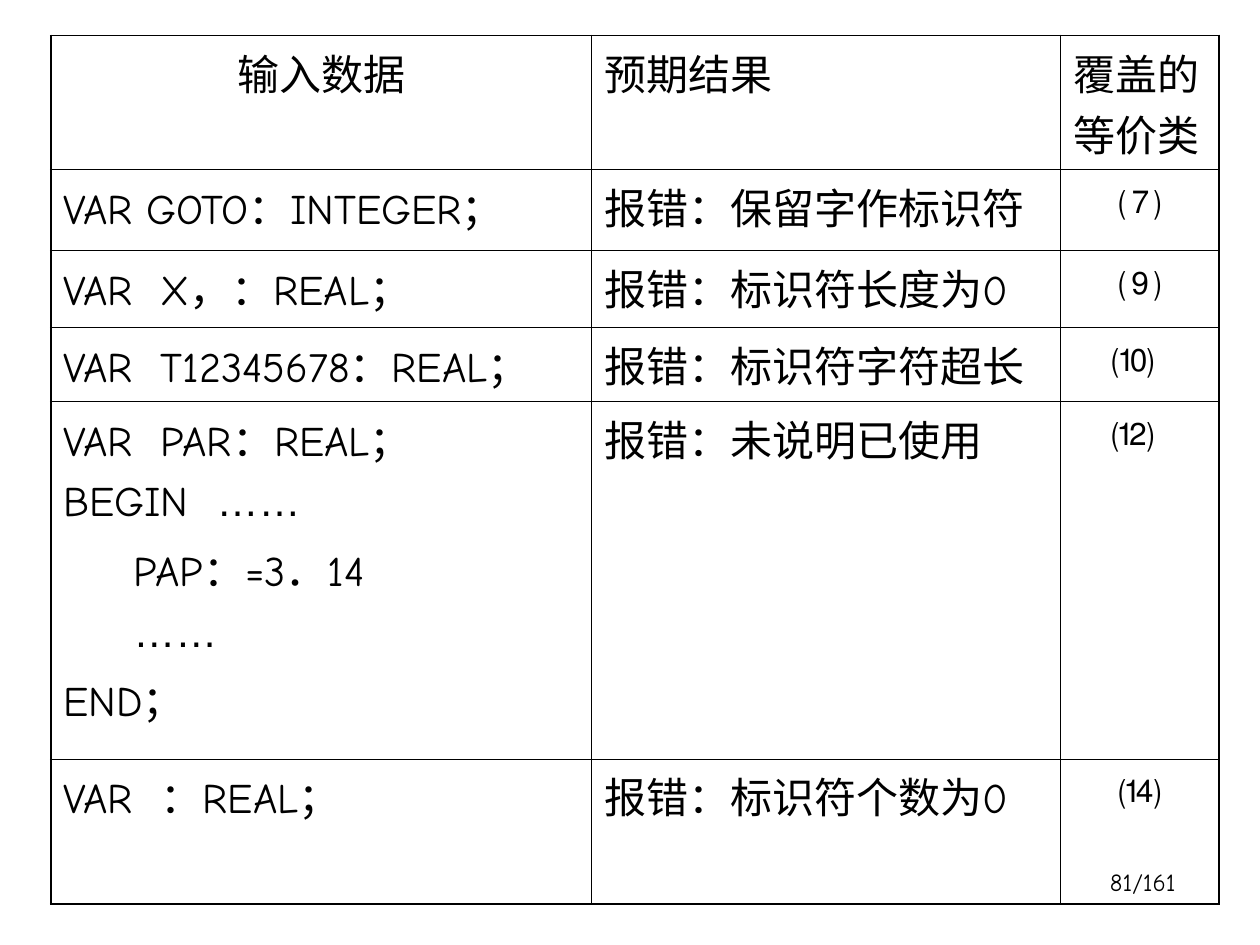
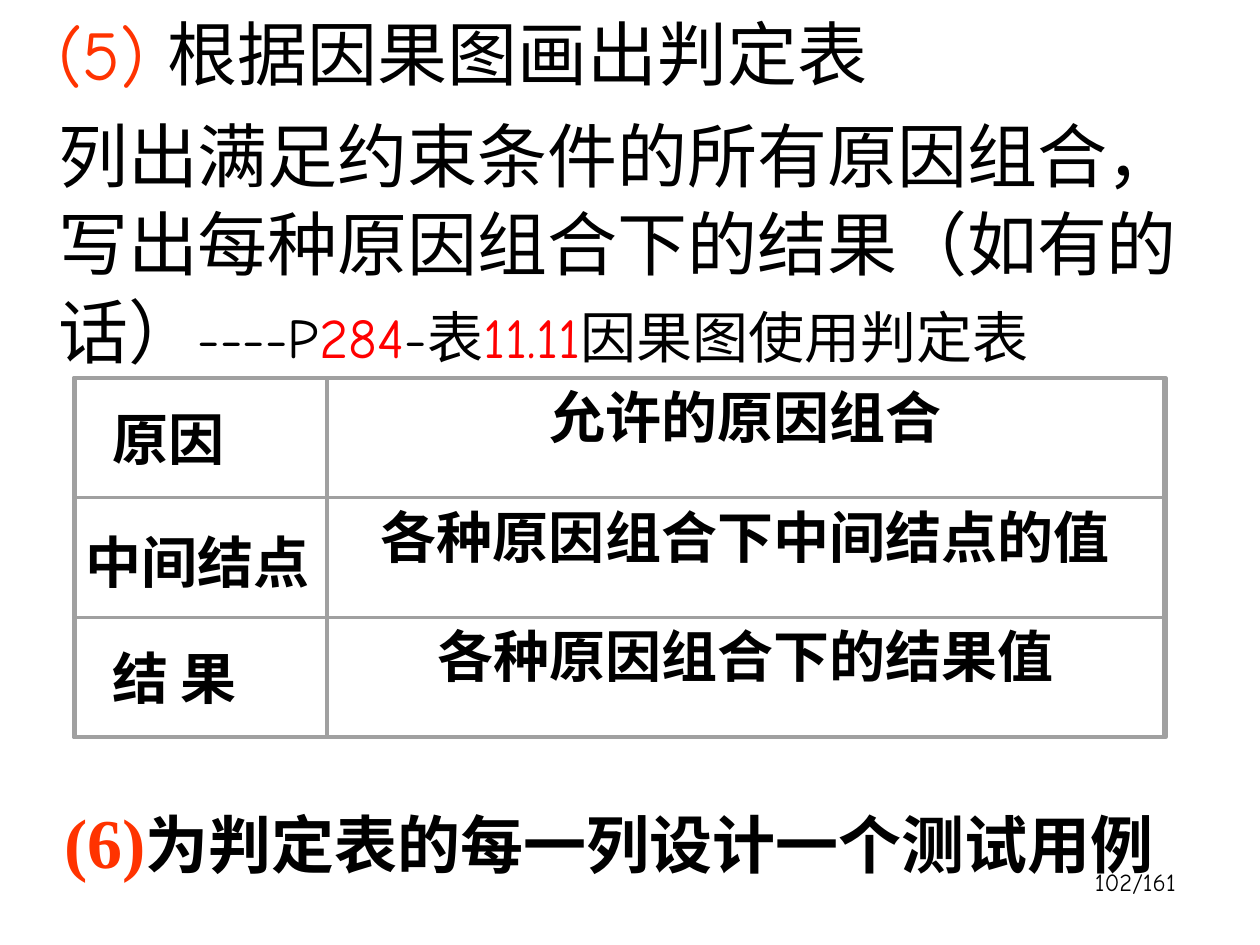
from lxml import etree
from pptx import Presentation
from pptx.dml.color import RGBColor
from pptx.enum.shapes import MSO_SHAPE
from pptx.enum.text import MSO_ANCHOR, MSO_AUTO_SIZE, PP_ALIGN
from pptx.oxml.ns import qn
from pptx.util import Pt

COLORS = {"text": "000000", "paper": "FFFFFF", "number": "FF3300",
          "page_ref": "FF0000", "grid": "A0A0A0"}
LATIN, CJK, SERIF = "Comic Neue", "Noto Sans CJK SC", "Times New Roman"
LEFT, CENTER, RIGHT = PP_ALIGN.LEFT, PP_ALIGN.CENTER, PP_ALIGN.RIGHT
JUSTIFY = PP_ALIGN.JUSTIFY
PAGE_COUNT = 161


def write(tf, paragraphs, size=24, font=LATIN, color="text", bold=False,
          align=LEFT, gap=0, spacing=None, indent=0):
    """Fill tf; a paragraph is a string or a list of (text, format) runs."""
    for i, runs in enumerate(paragraphs):
        p = tf.paragraphs[0] if i == 0 else tf.add_paragraph()
        p.alignment = align
        p.space_before = Pt(gap if i else 0)
        if spacing:
            p.line_spacing = spacing
        if indent:
            pPr = p._p.get_or_add_pPr()
            pPr.set("marL", str(Pt(indent)))
            pPr.set("indent", "0")
            etree.SubElement(pPr, qn("a:buNone"))
        for text, own in [(runs, {})] if isinstance(runs, str) else runs:
            r = p.add_run()
            r.text = text
            r.font.size = Pt(own.get("size", size))
            r.font.name = own.get("font", font)
            r.font.bold = bold
            r.font.color.rgb = RGBColor.from_string(COLORS[own.get("color", color)])
            ea = etree.SubElement(r._r.get_or_add_rPr(), qn("a:ea"))
            ea.set("typeface", CJK)


def add_text(slide, x, y, w, h, paragraphs, wrap=True, anchor=MSO_ANCHOR.TOP,
             top=3.6, **fmt):
    tf = slide.shapes.add_textbox(Pt(x), Pt(y), Pt(w), Pt(h)).text_frame
    tf.word_wrap = wrap
    tf.vertical_anchor = anchor
    tf.margin_top = Pt(top)
    write(tf, paragraphs, **fmt)


def add_page_number(slide, number):
    add_text(slide, 529, 492, 150, 36, [f"{number}/{PAGE_COUNT}"],
             size=14, align=RIGHT)


def add_slide(prs, layout, number):
    slide = prs.slides.add_slide(prs.slide_layouts[layout])
    slide.background.fill.solid()
    slide.background.fill.fore_color.rgb = RGBColor.from_string(COLORS["paper"])
    add_page_number(slide, number)
    return slide


# Test cases for the invalid equivalence classes
DOTS = ("……", {"font": "Arial"})
TEST_CASES = [
    (["输入数据"], "预期结果", "覆盖的等价类"),
    (["VAR GOTO：INTEGER；"], "报错：保留字作标识符", "⑺"),
    (["VAR  X，：REAL；"], "报错：标识符长度为0", "⑼"),
    (["VAR  T12345678：REAL；"], "报错：标识符字符超长", "⑽ "),
    (["VAR  PAR：REAL；", [("BEGIN  ", {}), DOTS], "     PAP：=3．14",
      [("     ", {}), DOTS], "END；"], "报错：未说明已使用", "⑿ "),
    (["VAR  ：REAL；"], "报错：标识符个数为0", "⒁"),
]
CASE_WIDTHS = [309, 268, 90.8]
CASE_HEIGHTS = [76.8, 46, 44, 42.2, 204.5, 83]


def set_border(cell, side, width, color):
    tcPr = cell._tc.get_or_add_tcPr()
    ln = etree.SubElement(tcPr, qn("a:ln" + side), w=str(Pt(width)))
    fill = etree.SubElement(ln, qn("a:solidFill"))
    etree.SubElement(fill, qn("a:srgbClr"), val=COLORS[color])


def add_test_cases(slide, x, y):
    last_row, last_col = len(CASE_HEIGHTS) - 1, len(CASE_WIDTHS) - 1
    table = slide.shapes.add_table(
        last_row + 1, last_col + 1, Pt(x), Pt(y),
        Pt(sum(CASE_WIDTHS)), Pt(sum(CASE_HEIGHTS))).table
    table.first_row = table.horz_banding = False
    for column, width in zip(table.columns, CASE_WIDTHS):
        column.width = Pt(width)
    for row, height in zip(table.rows, CASE_HEIGHTS):
        row.height = Pt(height)
    for i, (source, result, covered) in enumerate(TEST_CASES):
        aligns = (JUSTIFY, JUSTIFY, CENTER) if i else (CENTER, LEFT, LEFT)
        for j, paragraphs in enumerate((source, [result], [covered])):
            cell = table.cell(i, j)
            outer = {"L": j == 0, "R": j == last_col,
                     "T": i == 0, "B": i == last_row}
            for side, is_outer in outer.items():
                set_border(cell, side, 1.08 if is_outer else 0.45, "text")
            cell.fill.background()
            write(cell.text_frame, paragraphs, align=aligns[j], gap=6)


# Decision table frame built from the cause-effect graph:
# label, its left offset, top offset and width, then the meaning
DECISION_ROWS = [("原因", 15.1, 0, 116, "允许的原因组合"),
                 ("中间结点", 0, 3.6, 162, "各种原因组合下中间结点的值"),
                 ("结\u00a0果", 15.1, 0, 116, "各种原因组合下的结果值")]


def add_frame(slide, x, y, w, h):
    sp = slide.shapes.add_shape(MSO_SHAPE.RECTANGLE, Pt(x), Pt(y), Pt(w), Pt(h))
    sp.shadow.inherit = False
    sp.fill.background()
    sp.line.color.rgb = RGBColor.from_string(COLORS["grid"])
    sp.line.width = Pt(2)


def add_decision_grid(slide, x, y):
    row_h, label_w, meaning_w, inset = 68.4, 143.7, 478.1, 1.2
    strong = {"size": 32, "font": CJK, "bold": True}
    for i, (label, dx, dy, w, meaning) in enumerate(DECISION_ROWS):
        top = y + i * row_h
        add_text(slide, x + dx, top + dy, w, row_h - dy, [label],
                 anchor=MSO_ANCHOR.MIDDLE, **strong)
        add_frame(slide, x + inset, top, label_w, row_h)
        meaning_x = x + inset + label_w
        add_text(slide, meaning_x + 13.5, top, meaning_w - 27, row_h, [meaning],
                 top=2.5, align=CENTER, **strong)
        add_frame(slide, meaning_x, top, meaning_w, row_h)
    add_frame(slide, x, y, label_w + meaning_w + 2 * inset,
              row_h * len(DECISION_ROWS))


def fill_step_text(body, x, y, w, h):
    body.left, body.top, body.width, body.height = Pt(x), Pt(y), Pt(w), Pt(h)
    tf = body.text_frame
    tf.auto_size = MSO_AUTO_SIZE.NONE
    tf.vertical_anchor = MSO_ANCHOR.TOP
    small, red = {"size": 32}, {"size": 32, "color": "page_ref"}
    write(tf, [
        [("(5) ", {"color": "number"}), ("根据因果图画出判定表", {})],
        [("列出满足约束条件的所有原因组合，写出每种原因组合下的结果（如有的话）", {}),
         ("----P", small), ("284", red), ("-表", small), ("11.11", red),
         ("因果图使用判定表", small)],
    ], size=40, gap=8, spacing=1.05, indent=8)


def build_test_case_slide(prs):
    slide = add_slide(prs, 6, 81)
    add_test_cases(slide, 29, 20.2)


def build_decision_slide(prs):
    slide = add_slide(prs, 1, 102)
    title = slide.shapes.title
    title._element.getparent().remove(title._element)
    fill_step_text(slide.placeholders[1], 18, 0, 678, 522)
    add_decision_grid(slide, 42, 216)
    add_text(slide, 29.5, 450.3, 646.5, 57.6,
             [[("(6)", {"size": 40, "font": SERIF, "color": "number"}),
               ("为判定表的每一列设计一个测试用例", {})]],
             wrap=False, size=36, font=SERIF, bold=True, spacing=1.05)


def main():
    prs = Presentation()
    prs.slide_width, prs.slide_height = Pt(720), Pt(540)
    build_test_case_slide(prs)
    # The first layout with a title is left without placeholders
    for ph in list(prs.slides[0].placeholders):
        ph._element.getparent().remove(ph._element)
    build_decision_slide(prs)
    prs.save("out.pptx")


if __name__ == "__main__":
    main()
